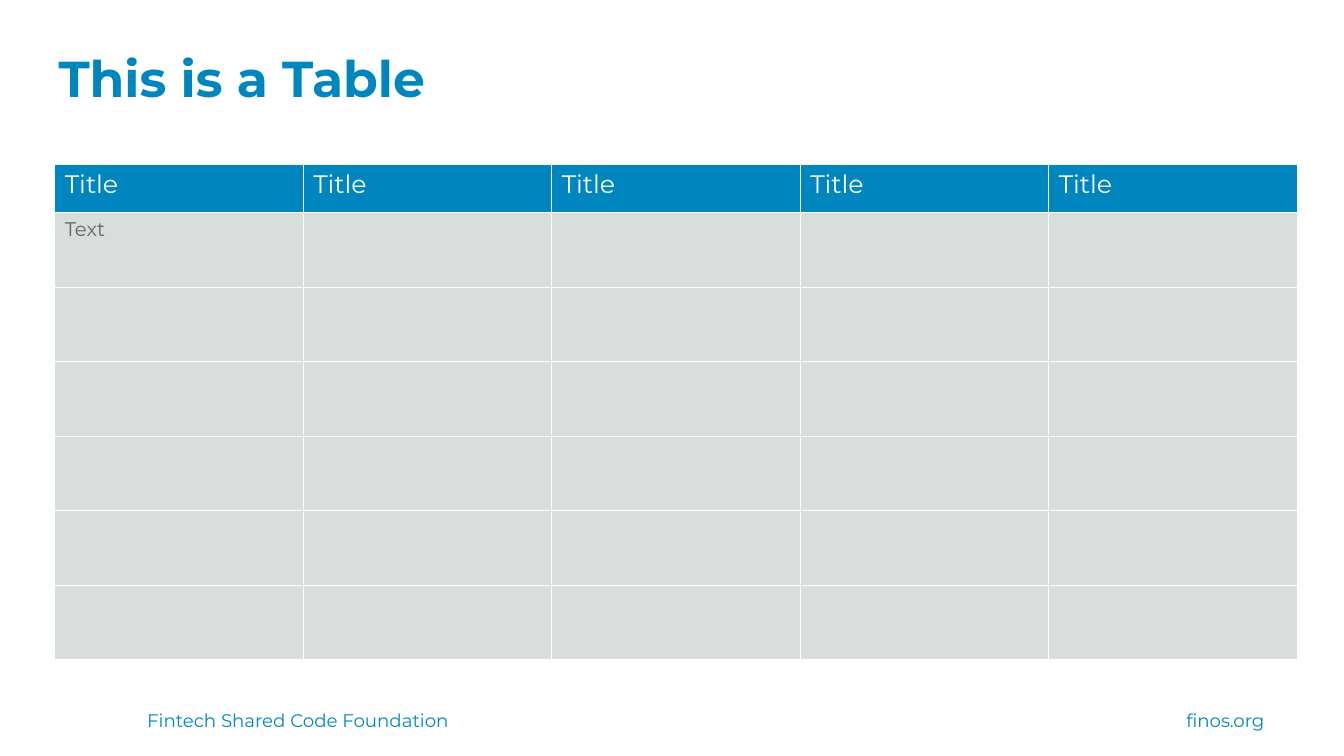
from lxml.etree import SubElement
from pptx import Presentation
from pptx.dml.color import RGBColor
from pptx.enum.text import MSO_ANCHOR, PP_ALIGN
from pptx.oxml.ns import qn
from pptx.util import Emu, Inches, Pt

BLUE, SKY, WHITE, GREY, PALE = "0086BF", "0087BF", "FFFFFF", "656562", "D9DDDC"


def color(code):
    return RGBColor.from_string(code)


class Deck:
    """Holds the style and the slide; lengths are hundredths of its sides."""

    font = "Montserrat"
    pad = Inches(0.13)

    def __init__(self):
        self.prs = Presentation()
        self.prs.slide_width = Inches(13.33)
        self.prs.slide_height = Inches(7.5)
        self.slide = self.prs.slides.add_slide(self.prs.slide_layouts[5])

    def col(self, n):
        return Emu(round(self.prs.slide_width * n / 100))

    def row(self, n):
        return Emu(round(self.prs.slide_height * n / 100))

    def area(self, left, top, width, height):
        return self.col(left), self.row(top), self.col(width), self.row(height)

    def style(self, frame, text, size, ink, bold=False, align=PP_ALIGN.LEFT):
        frame.text = text
        para = frame.paragraphs[0]
        para.alignment = align
        font = para.runs[0].font
        font.name, font.size, font.bold = self.font, Pt(size), bold
        font.color.rgb = color(ink)

    def frame(self, shape):
        frame = shape.text_frame
        frame.word_wrap = True
        frame.vertical_anchor = MSO_ANCHOR.TOP
        frame.margin_left = frame.margin_right = self.pad
        frame.margin_top = frame.margin_bottom = self.pad
        return frame

    def title(self, text, area):
        shape = self.slide.shapes.title
        shape.left, shape.top, shape.width, shape.height = self.area(*area)
        self.style(self.frame(shape), text, 36, BLUE, bold=True)

    def label(self, text, area, align=PP_ALIGN.LEFT):
        shape = self.slide.shapes.add_textbox(*self.area(*area))
        self.style(self.frame(shape), text, 13, SKY, align=align)

    def edge(self, cell):
        props = cell._tc.get_or_add_tcPr()
        for side in ("lnL", "lnR", "lnT", "lnB"):
            line = SubElement(props, qn(f"a:{side}"), w=str(Pt(0.75)))
            fill = SubElement(line, qn("a:solidFill"))
            SubElement(fill, qn("a:srgbClr"), val=WHITE)

    def table(self, data, area, head):
        left, top, width, height = area
        table = self.slide.shapes.add_table(
            len(data), len(data[0]), *self.area(*area)).table
        for part in table.columns:
            part.width = self.col(width / len(data[0]))
        body = (height - head) / (len(data) - 1)
        for i, line in enumerate(data):
            table.rows[i].height = self.row(body if i else head)
            size, ink, back = (14, GREY, PALE) if i else (18, WHITE, BLUE)
            for j, text in enumerate(line):
                cell = table.cell(i, j)
                self.edge(cell)
                cell.fill.solid()
                cell.fill.fore_color.rgb = color(back)
                if text:
                    self.style(cell.text_frame, text, size, ink)


def main():
    deck = Deck()

    # Footer
    deck.label("Fintech Shared Code Foundation", (9.98, 92.4, 32.93, 7.6))
    deck.label("finos.org", (86.72, 92.4, 8.33, 7.6), PP_ALIGN.RIGHT)

    # Heading
    deck.title("This is a Table", (3.38, 4.53, 93.17, 11.07))

    # Table: a header, one sample entry, blank cells
    data = [["Title"] * 5] + [[""] * 5 for _ in range(6)]
    data[1][0] = "Text"
    deck.table(data, (4.07, 21.7, 92.45, 65.6), head=6.4)

    deck.prs.save("out.pptx")


if __name__ == "__main__":
    main()
